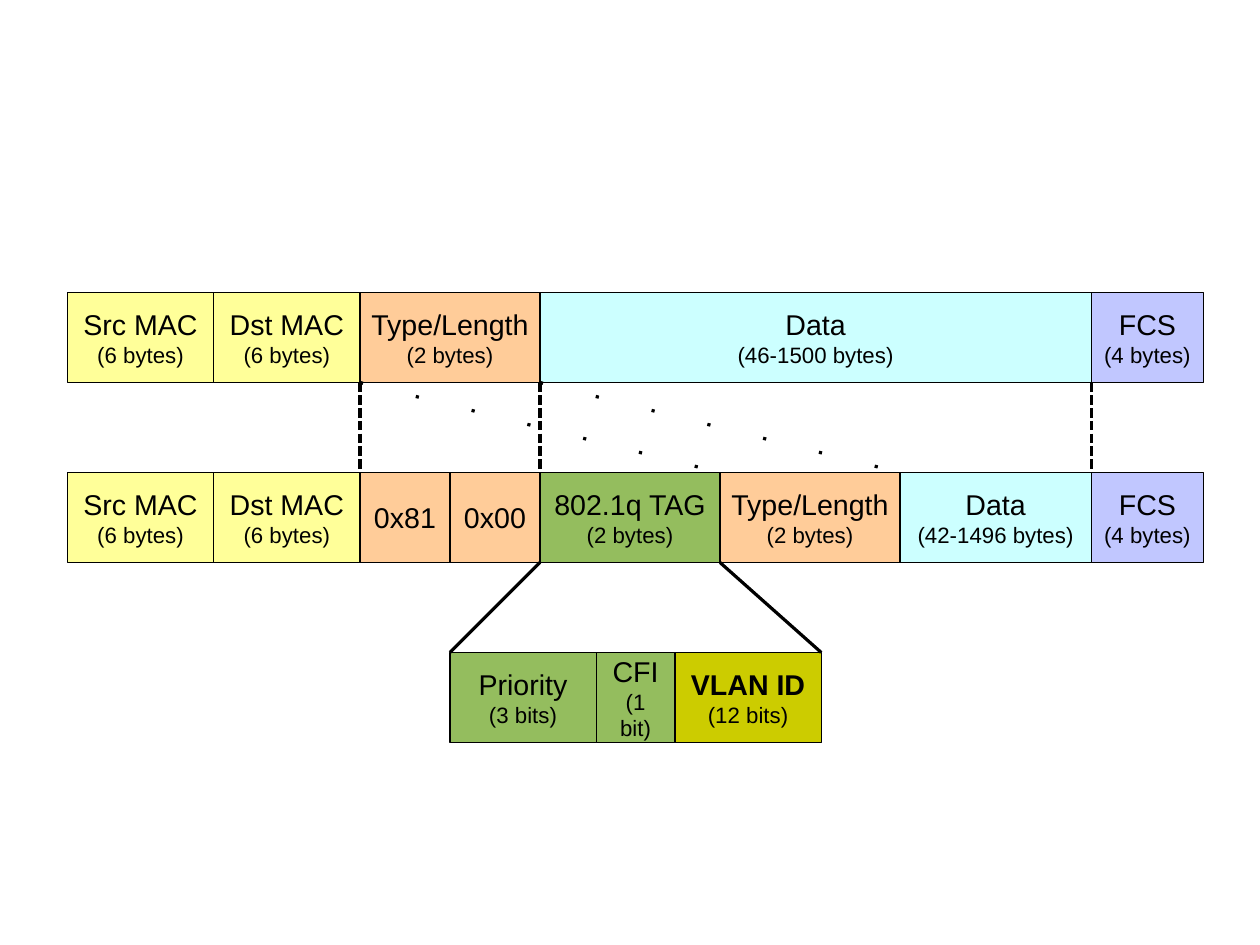
import dataclasses

import pptx
import pptx.dml.color
import pptx.enum.dml
import pptx.enum.shapes
import pptx.enum.text
import pptx.oxml
import pptx.oxml.ns
import pptx.util

Pt = pptx.util.Pt
RGBColor = pptx.dml.color.RGBColor
SQUARE_DOT = pptx.enum.dml.MSO_LINE.SQUARE_DOT
NAMESPACE = pptx.oxml.ns.nsdecls("a")


@dataclasses.dataclass(frozen=True)
class Theme:
    address: str = "FFFF99"
    type_length: str = "FFCC99"
    data: str = "CCFFFF"
    checksum: str = "C1C7FF"
    tag: str = "94BD5E"
    vlan: str = "CCCC00"
    ink: str = "000000"
    font: str = "Arial"
    name_size: float = 18
    size_size: float = 14
    hairline: float = 0


THEME = Theme()
UNIT = 28.35
FIELD_HEIGHT = 2 * UNIT
ROW_PITCH = 4 * UNIT
FRAME_LEFT = 1.5 * UNIT
FRAME_TOP = 6.5 * UNIT
TAG_DETAIL_LEFT = 10 * UNIT

SOURCE = ("Src MAC", "(6 bytes)", 3.25, THEME.address)
DESTINATION = ("Dst MAC", "(6 bytes)", 3.25, THEME.address)
TYPE_LENGTH = ("Type/Length", "(2 bytes)", 4, THEME.type_length)
CHECKSUM = ("FCS", "(4 bytes)", 2.5, THEME.checksum)

PLAIN_FRAME = [
    SOURCE,
    DESTINATION,
    TYPE_LENGTH,
    ("Data", "(46-1500 bytes)", 12.25, THEME.data),
    CHECKSUM,
]
TAGGED_FRAME = [
    SOURCE,
    DESTINATION,
    ("0x81", "", 2, THEME.type_length),
    ("0x00", "", 2, THEME.type_length),
    ("802.1q TAG", "(2 bytes)", 4, THEME.tag),
    TYPE_LENGTH,
    ("Data", "(42-1496 bytes)", 4.25, THEME.data),
    CHECKSUM,
]
TAG_DETAIL = [
    ("Priority", "(3 bits)", 3.25, THEME.tag),
    ("CFI", "(1 bit)", 1.75, THEME.tag),
    ("VLAN ID", "(12 bits)", 3.25, THEME.vlan),
]


def color(code):
    return RGBColor.from_string(code)


def style_line(line):
    line.color.rgb = color(THEME.ink)
    line.width = Pt(THEME.hairline)


def add_field(slide, left, top, width, name, size, fill):
    shape = slide.shapes.add_shape(
        pptx.enum.shapes.MSO_SHAPE.RECTANGLE,
        Pt(left), Pt(top), Pt(width), Pt(FIELD_HEIGHT),
    )
    shape.shadow.inherit = False
    shape.fill.solid()
    shape.fill.fore_color.rgb = color(fill)
    style_line(shape.line)
    text_frame = shape.text_frame
    text_frame.word_wrap = True
    text_frame.vertical_anchor = pptx.enum.text.MSO_ANCHOR.MIDDLE
    text_frame.text = f"{name}\n{size}" if size else name
    for paragraph, points in zip(text_frame.paragraphs, (THEME.name_size, THEME.size_size)):
        paragraph.alignment = pptx.enum.text.PP_ALIGN.CENTER
        for run in paragraph.runs:
            run.font.name = THEME.font
            run.font.size = Pt(points)
            run.font.color.rgb = color(THEME.ink)
            run.font.bold = run.text == "VLAN ID"


def add_row(slide, left, top, fields):
    edges = [left]
    for name, size, units, fill in fields:
        add_field(slide, edges[-1], top, units * UNIT, name, size, fill)
        edges.append(edges[-1] + units * UNIT)
    return edges


def add_guide(slide, start_x, end_x, top):
    connector = slide.shapes.add_connector(
        pptx.enum.shapes.MSO_CONNECTOR.STRAIGHT,
        Pt(start_x), Pt(top), Pt(end_x), Pt(top + ROW_PITCH - FIELD_HEIGHT),
    )
    style_line(connector.line)
    connector._element.spPr.append(pptx.oxml.parse_xml(f"<a:effectLst {NAMESPACE}/>"))
    return connector


def add_sparse_dots(connector):
    connector.line._get_or_add_ln().append(pptx.oxml.parse_xml(
        f'<a:custDash {NAMESPACE}><a:ds d="100000" sp="1700000"/></a:custDash>'
    ))


def add_frame_guides(slide, plain, tagged, top):
    for edge in (plain[2], plain[3], plain[4]):
        add_guide(slide, edge, edge, top).line.dash_style = SQUARE_DOT
    for start, end in zip(plain[2:4], tagged[5:7]):
        add_sparse_dots(add_guide(slide, start, end, top))


def add_tag_guides(slide, tagged, detail, top):
    add_guide(slide, tagged[4], detail[0], top)
    add_guide(slide, tagged[5], detail[-1], top)


def add_frame_diagram(slide, left, top):
    tagged_top = top + ROW_PITCH
    plain = add_row(slide, left, top, PLAIN_FRAME)
    tagged = add_row(slide, left, tagged_top, TAGGED_FRAME)
    add_frame_guides(slide, plain, tagged, top + FIELD_HEIGHT)
    detail = add_row(slide, TAG_DETAIL_LEFT, tagged_top + ROW_PITCH, TAG_DETAIL)
    add_tag_guides(slide, tagged, detail, tagged_top + FIELD_HEIGHT)


def main():
    presentation = pptx.Presentation()
    presentation.slide_width = Pt(28 * UNIT)
    presentation.slide_height = Pt(21 * UNIT)
    slide = presentation.slides.add_slide(presentation.slide_layouts[6])
    add_frame_diagram(slide, FRAME_LEFT, FRAME_TOP)
    presentation.save("out.pptx")


if __name__ == "__main__":
    main()
